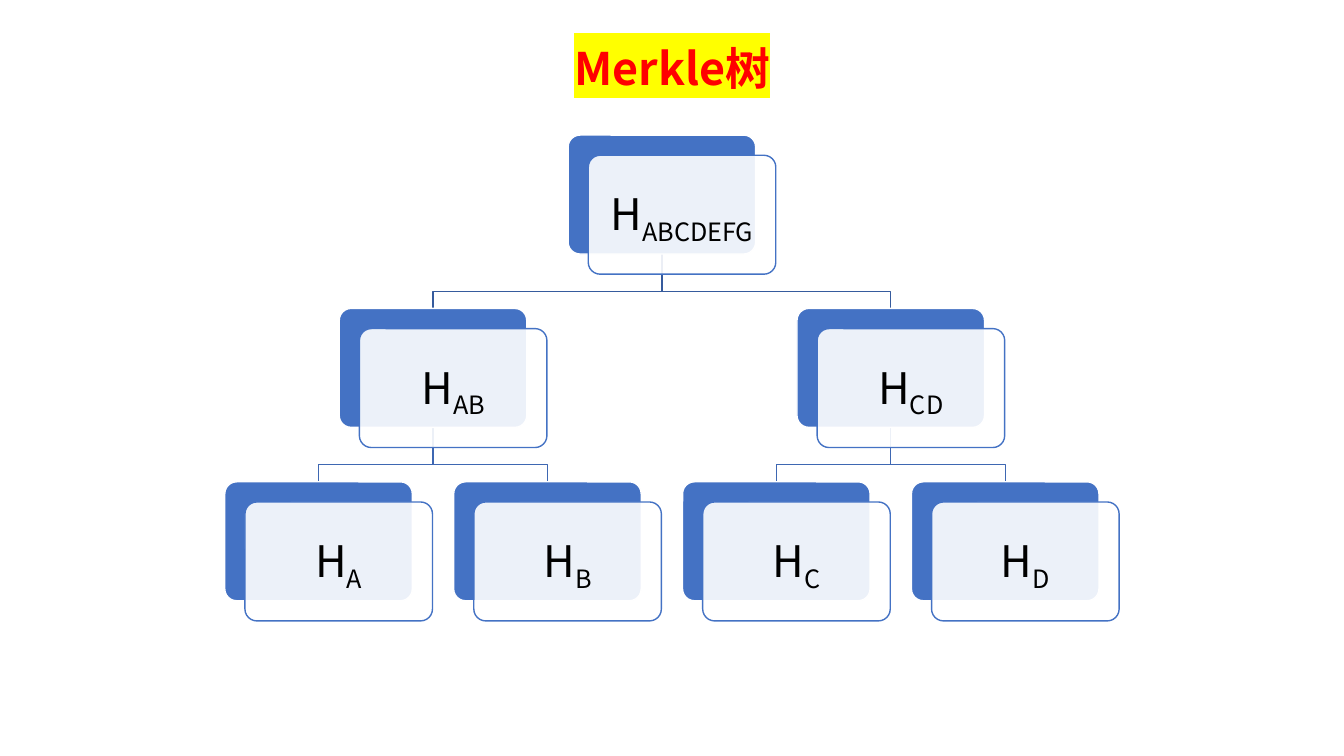
from lxml import etree
from pptx import Presentation, util as u
from pptx.dml.color import RGBColor
from pptx.enum import shapes, text
from pptx.oxml import ns

FONT = "Noto Sans CJK SC"
BLUE, WHITE, BLACK = "4472C4", "FFFFFF", "000000"

# Tree grid: one column per leaf, one row per level
LEFT, TOP = 2.23, 1.34
COLUMN, ROW = 2.27, 1.72
CARD_W, CARD_H = 1.86, 1.18
SHIFT = 0.2
BEND = 0.37

# Hash index: (column, row, parent)
NODES = {
    "ABCDEFG": (1.5, 0, None),
    "AB": (0.5, 1, "ABCDEFG"),
    "CD": (2.5, 1, "ABCDEFG"),
    "A": (0, 2, "AB"),
    "B": (1, 2, "AB"),
    "C": (2, 2, "CD"),
    "D": (3, 2, "CD"),
}
BRANCH_COLOURS = {1: "365B9D", 2: "3E67B2"}


def colour(color_format, value):
    color_format.rgb = RGBColor.from_string(value)


def add_child(parent, tag, **attributes):
    return etree.SubElement(parent, ns.qn(tag), attributes)


def style_span(span, size, value, bold=False):
    span.font.size = u.Pt(size)
    span.font.bold = bold
    colour(span.font.color, value)
    span.font.name = FONT
    add_child(span.font._element, "a:ea", typeface=FONT)


def highlight(span, value):
    mark = etree.Element(ns.qn("a:highlight"))
    add_child(mark, "a:srgbClr", val=value)
    span.font._element.find(ns.qn("a:solidFill")).addnext(mark)


def corner(column, row):
    return LEFT + column * COLUMN, TOP + row * ROW


def add_title(page, words):
    title = page.shapes.title
    title.left, title.top = u.Inches(4.28), u.Inches(0.35)
    title.width, title.height = u.Inches(4.78), u.Inches(0.64)
    frame = title.text_frame
    frame.text = words
    frame.vertical_anchor = text.MSO_ANCHOR.BOTTOM
    frame.auto_size = text.MSO_AUTO_SIZE.NONE
    para = frame.paragraphs[0]
    para.alignment = text.PP_ALIGN.CENTER
    para.line_spacing = 0.9
    style_span(para.runs[0], 32, "FF0000", bold=True)
    highlight(para.runs[0], "FFFF00")


def add_branch(page, parent, child, value):
    """Draw the bent line from a parent's bottom edge to a child's top edge."""
    parent_left, parent_top = corner(*parent)
    child_left, child_top = corner(*child)
    start_x, end_x = (u.Inches(left + CARD_W / 2) for left in (parent_left, child_left))
    start_y = u.Inches(parent_top + CARD_H)
    bend_y = start_y + u.Inches(BEND)
    builder = page.shapes.build_freeform(start_x, start_y)
    builder.add_line_segments(
        [(start_x, bend_y), (end_x, bend_y), (end_x, u.Inches(child_top))], close=False)
    branch = builder.convert_to_shape()
    branch.shadow.inherit = False
    branch.fill.background()
    colour(branch.line.color, value)
    branch.line.width = u.Pt(1)


def add_card(page, left, top, fill, line):
    card = page.shapes.add_shape(
        shapes.MSO_SHAPE.ROUNDED_RECTANGLE,
        u.Inches(left), u.Inches(top), u.Inches(CARD_W), u.Inches(CARD_H))
    card.adjustments[0] = 0.1
    card.shadow.inherit = False
    card.fill.solid()
    colour(card.fill.fore_color, fill)
    colour(card.line.color, line)
    card.line.width = u.Pt(1)
    return card


def add_node(page, index, column, row):
    left, top = corner(column, row)
    add_card(page, left, top, BLUE, WHITE)
    front = add_card(page, left + SHIFT, top + SHIFT, WHITE, BLUE)
    solid = front._element.spPr.find(ns.qn("a:solidFill"))
    add_child(solid[0], "a:alpha", val="90000")

    # Label with its subscript
    frame = front.text_frame
    frame.word_wrap = True
    frame.vertical_anchor = text.MSO_ANCHOR.MIDDLE
    frame.margin_left = frame.margin_right = u.Inches(0.16)
    frame.margin_top = frame.margin_bottom = u.Inches(0.16)
    para = frame.paragraphs[0]
    para.alignment = text.PP_ALIGN.CENTER
    para.line_spacing = 0.9
    for words, baseline in (("H", "0"), (index, "-25000")):
        span = para.add_run()
        span.text = words
        style_span(span, 31, BLACK)
        span.font._element.set("baseline", baseline)


def main():
    deck = Presentation()
    deck.slide_width, deck.slide_height = u.Inches(13.33), u.Inches(7.5)
    page = deck.slides.add_slide(deck.slide_layouts[5])

    # Branches lie behind the cards
    for column, row, parent in NODES.values():
        if parent:
            add_branch(page, NODES[parent][:2], (column, row), BRANCH_COLOURS[row])
    for index, (column, row, _) in NODES.items():
        add_node(page, index, column, row)

    add_title(page, "Merkle树")
    deck.save("out.pptx")


if __name__ == "__main__":
    main()
